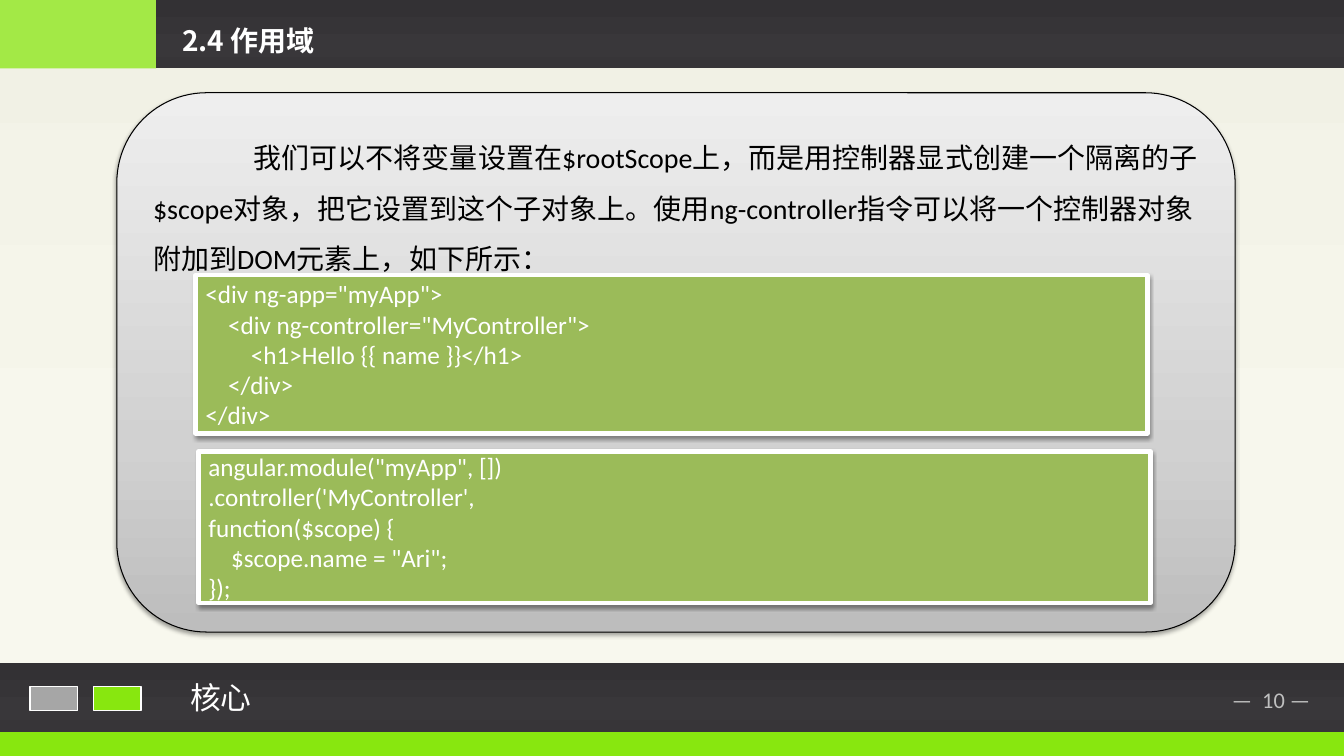
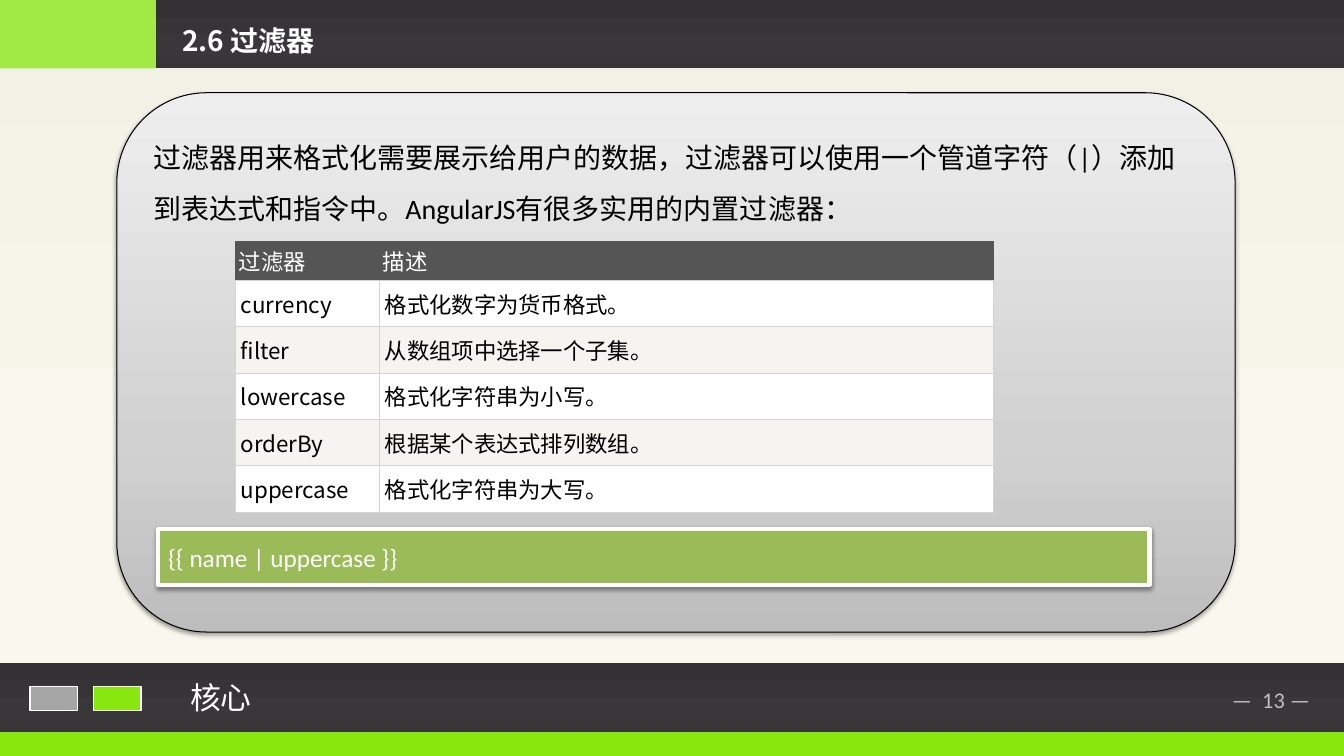
from lxml.etree import SubElement
from pptx import Presentation
from pptx.dml.color import RGBColor
from pptx.enum.shapes import MSO_SHAPE as Preset
from pptx.enum.text import MSO_ANCHOR as Anchor, MSO_AUTO_SIZE as AutoSize, PP_ALIGN as Align
from pptx.oxml.ns import qn
from pptx.util import Inches, Pt

WIDTH, HEIGHT = 13.34, 7.5
HEADER_HEIGHT = 0.68
FOOTER_TOP, STRIPE_TOP = 6.58, 7.26
LATIN, CHINESE = "Calibri", "Noto Sans CJK SC"

LIME, GRAY, WHITE, BLACK = "88E70F", "A6A6A6", "FFFFFF", "000000"
CODE_GREEN, PAGE_GRAY = "9BBB59", "BFBFBF"
TABLE_HEAD, TABLE_STRIPE, TABLE_LINE = "555555", "F6F4F0", "D4D4D4"
CREAM = [(0, "F1F1E5"), (74, "F7F7ED"), (83, "F8F8EE"), (100, "F9F9EF")]
DARK = [(0, "333134"), (74, "39373A"), (83, "373538"), (100, "363436")]
SILVER = [(0, "BDBDBD"), (35, "D1D1D1"), (100, "EEEEEE")]

TITLE_FORMAT = dict(name=CHINESE, size=Pt(20), bold=True)
SECTION_FORMAT = dict(name=CHINESE, size=Pt(22))
PAGE_FORMAT = dict(name=LATIN, size=Pt(16))
BODY_FORMAT = dict(name=LATIN, size=Pt(20), bold=False)
CODE_FORMAT = dict(name=LATIN, size=Pt(18))
TABLE_FORMAT = dict(name=CHINESE, size=Pt(16), bold=False)


def rgb(color):
    return RGBColor.from_string(color)


def add_color(parent, color, alpha=100):
    element = SubElement(parent, qn("a:srgbClr"), val=color)
    if alpha < 100:
        SubElement(element, qn("a:alpha"), val=str(alpha * 1000))


class Deck:
    """Holds the presentation, its style and the slide being built."""

    def __init__(self):
        self.presentation = Presentation()
        self.presentation.slide_width = Inches(WIDTH)
        self.presentation.slide_height = Inches(HEIGHT)
        self.slide = None

    def start_slide(self, title, page):
        layout = self.presentation.slide_layouts.get_by_name("Title Only")
        self.slide = self.presentation.slides.add_slide(layout)
        self.box(0, 0, WIDTH, FOOTER_TOP, CREAM)
        self.box(0, STRIPE_TOP, WIDTH, HEIGHT - STRIPE_TOP, LIME)
        self.box(0, FOOTER_TOP, WIDTH, STRIPE_TOP - FOOTER_TOP, DARK)
        self.box(0, 0, 1.55, HEADER_HEIGHT, LIME, alpha=74)
        self.box(1.55, 0, WIDTH - 1.55, HEADER_HEIGHT, DARK)
        for left, color in ((0.3, GRAY), (0.93, LIME)):
            self.box(left, 6.81, 0.47, 0.24, color, line=(WHITE, 1.2))
        self.text_box(12.13, 6.76, 1.07, 0.37, f"—  {page} —", PAGE_FORMAT, PAGE_GRAY, wrap=False)
        self.text_box(1.79, 6.68, 4.27, 0.47, "核心", SECTION_FORMAT, WHITE)
        self.title(title)

    def title(self, text):
        shape = self.slide.shapes.title
        shape.element.getparent().append(shape.element)  # in front of the bands
        shape.left, shape.top, shape.width, shape.height = map(Inches, (1.71, 0.18, 4.09, 0.44))
        shape.text_frame.auto_size = AutoSize.NONE
        self.fill_text(shape.text_frame, [text], TITLE_FORMAT, WHITE)

    def fill_text(self, frame, lines, font_format, color, anchor=Anchor.TOP):
        """Fill a text frame with one left-aligned paragraph a line."""
        frame.vertical_anchor = anchor
        for index, line in enumerate(lines):
            paragraph = frame.paragraphs[0] if index == 0 else frame.add_paragraph()
            paragraph.alignment = Align.LEFT
            run = paragraph.add_run()
            run.text = line
            for name, value in font_format.items():
                setattr(run.font, name, value)
            run.font.color.rgb = rgb(color)
            SubElement(run.font._element, qn("a:ea"), typeface=CHINESE)

    def text_box(self, left, top, width, height, text, font_format, color, wrap=True):
        shape = self.slide.shapes.add_textbox(*map(Inches, (left, top, width, height)))
        shape.text_frame.word_wrap = wrap
        self.fill_text(shape.text_frame, [text], font_format, color)

    def box(self, left, top, width, height, fill, line=None, alpha=100,
            preset=Preset.RECTANGLE, angle=270, shadow=False):
        """Add a shape; fill is a colour or a list of gradient stops."""
        shape = self.slide.shapes.add_shape(preset, *map(Inches, (left, top, width, height)))
        properties = shape.element.spPr
        if isinstance(fill, str):
            shape.fill.solid()
            shape.fill.fore_color.rgb = rgb(fill)
            if alpha < 100:
                solid = properties.find(qn("a:solidFill"))
                solid.clear()
                add_color(solid, fill, alpha)
        else:
            shape.fill.gradient()
            shape.fill.gradient_angle = angle
            stops = properties.find(".//" + qn("a:gsLst"))
            stops.clear()
            for position, color in fill:
                add_color(SubElement(stops, qn("a:gs"), pos=str(position * 1000)), color)
        if line:
            color, points = line
            shape.line.color.rgb = rgb(color)
            shape.line.width = Pt(points)
        else:
            shape.line.fill.background()
        shape.shadow.inherit = False
        if shadow:
            outer = SubElement(properties.find(qn("a:effectLst")), qn("a:outerShdw"),
                               blurRad=str(Pt(3.1)), dist=str(Pt(1.6)), dir="5400000", rotWithShape="0")
            add_color(outer, BLACK, 38)
        return shape

    def panel(self, text, first_indent=0):
        shape = self.box(1.16, 0.92, 11.1, 5.35, SILVER, line=(BLACK, 0.75),
                         preset=Preset.FLOWCHART_ALTERNATE_PROCESS, angle=90, shadow=True)
        self.fill_text(shape.text_frame, [text], BODY_FORMAT, BLACK)
        paragraph = shape.text_frame.paragraphs[0]
        paragraph.line_spacing = 1.5
        paragraph._p.get_or_add_pPr().set("indent", str(Inches(first_indent)))

    def code(self, left, top, width, height, source):
        shape = self.box(left, top, width, height, CODE_GREEN, line=(WHITE, 3),
                         preset=Preset.FLOWCHART_PROCESS, shadow=True)
        self.fill_text(shape.text_frame, source.splitlines(), CODE_FORMAT, WHITE, Anchor.MIDDLE)

    def table(self, left, top, column_widths, head_height, row_height, rows):
        heights = [head_height] + [row_height] * (len(rows) - 1)
        frame = self.slide.shapes.add_table(len(rows), len(column_widths), *map(
            Inches, (left, top, sum(column_widths), sum(heights))))
        table = frame.table
        table.first_row = table.horz_banding = False
        for column, width in zip(table.columns, column_widths):
            column.width = Inches(width)
        for index, (row, height, texts) in enumerate(zip(table.rows, heights, rows)):
            row.height = Inches(height)
            for cell, text in zip(row.cells, texts):
                self.cell(cell, text, index)

    def cell(self, cell, text, row_index):
        head = row_index == 0
        fill = TABLE_HEAD if head else (WHITE, TABLE_STRIPE)[(row_index - 1) % 2]
        cell.margin_left = cell.margin_right = Inches(0.03 if head else 0.05)
        cell.margin_top = cell.margin_bottom = Inches(0.03 if head else 0.07)
        self.fill_text(cell.text_frame, [text], TABLE_FORMAT, WHITE if head else BLACK)
        properties = cell._tc.get_or_add_tcPr()
        for side in "LRTB":
            border = SubElement(properties, qn(f"a:ln{side}"), w=str(Pt(0.75)))
            color = TABLE_HEAD if head and side != "B" else TABLE_LINE
            add_color(SubElement(border, qn("a:solidFill")), color)
        cell.fill.solid()
        cell.fill.fore_color.rgb = rgb(fill)


SCOPE_TEXT = ("我们可以不将变量设置在$rootScope上，而是用控制器显式创建一个隔离的子$scope对象，"
              "把它设置到这个子对象上。使用ng-controller指令可以将一个控制器对象附加到DOM元素上，如下所示：")
SCOPE_HTML = """<div ng-app="myApp">
    <div ng-controller="MyController">
        <h1>Hello {{ name }}</h1>
    </div>
</div>"""
SCOPE_SCRIPT = """angular.module("myApp", [])
.controller('MyController',
function($scope) {
    $scope.name = "Ari";
});"""
FILTER_TEXT = ("过滤器用来格式化需要展示给用户的数据，过滤器可以使用一个管道字符（|）添加到表达式和指令中。"
               "AngularJS有很多实用的内置过滤器：")
FILTER_ROWS = [
    ("过滤器", "描述"),
    ("currency", "格式化数字为货币格式。"),
    ("filter", "从数组项中选择一个子集。"),
    ("lowercase", "格式化字符串为小写。"),
    ("orderBy", "根据某个表达式排列数组。"),
    ("uppercase", "格式化字符串为大写。"),
]


def main():
    deck = Deck()

    deck.start_slide("2.4 作用域", 10)
    deck.panel(SCOPE_TEXT, first_indent=1)
    deck.code(1.94, 2.73, 9.45, 1.57, SCOPE_HTML)
    deck.code(1.97, 4.48, 9.45, 1.5, SCOPE_SCRIPT)

    deck.start_slide("2.6 过滤器", 13)
    deck.panel(FILTER_TEXT)
    deck.table(2.34, 2.4, (1.43, 6.09), 0.33, 0.41, FILTER_ROWS)
    deck.code(1.57, 5.25, 9.84, 0.55, "{{ name | uppercase }}")

    deck.presentation.save("out.pptx")


if __name__ == "__main__":
    main()
